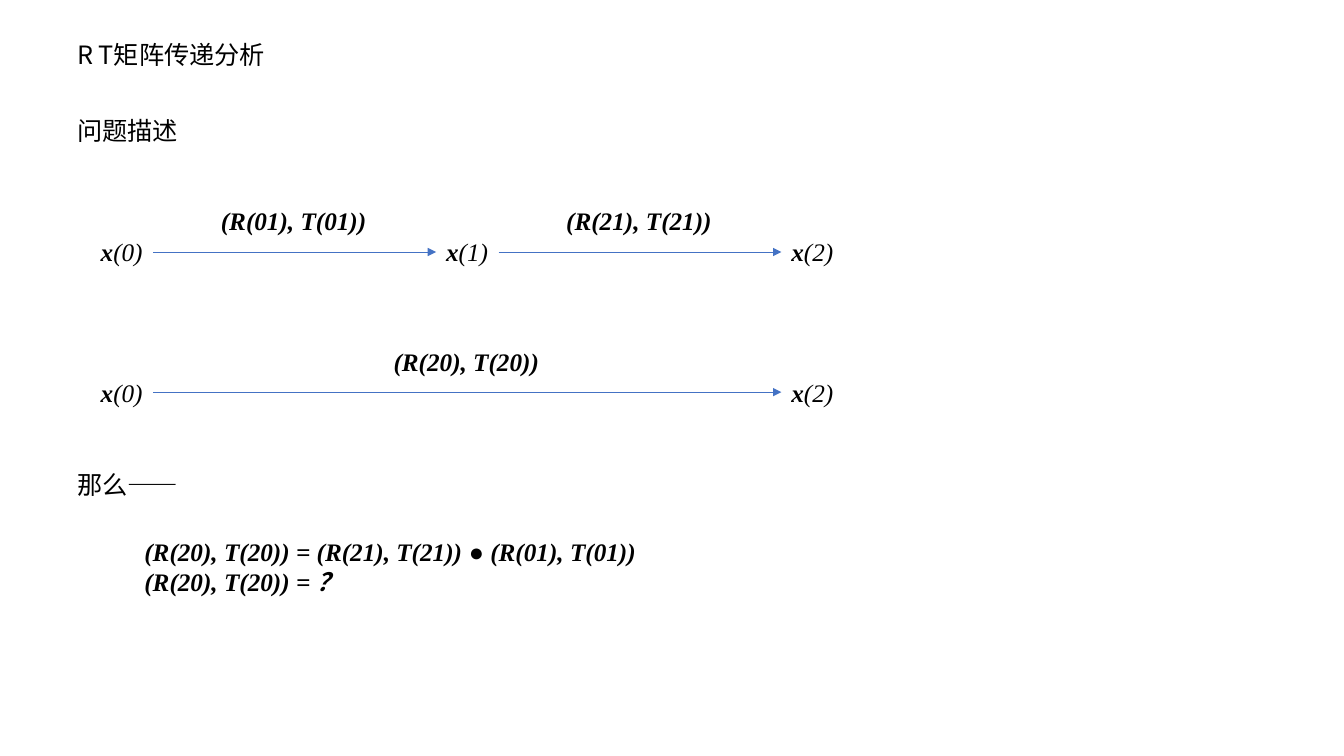
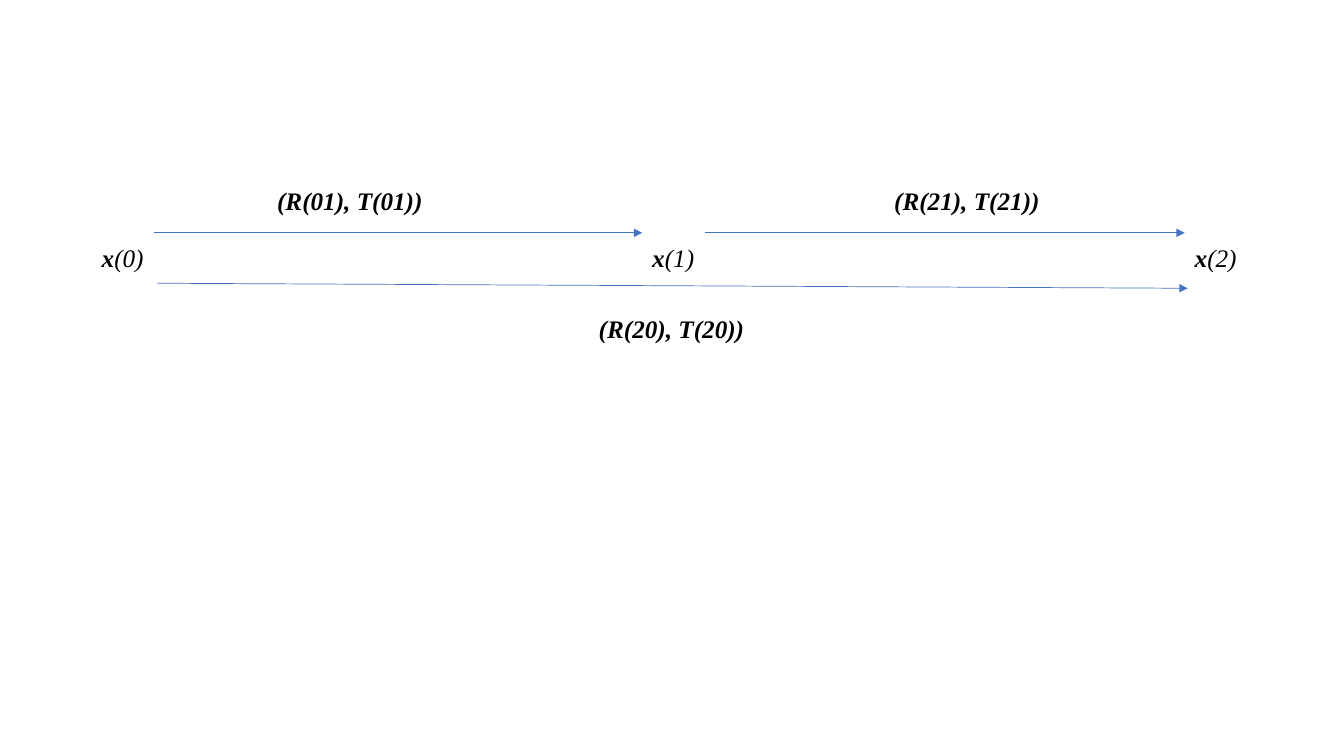
import pptx
import pptx.util
import pptx.dml.color
import pptx.enum.shapes
import pptx.enum.text
import pptx.oxml.ns
import lxml.etree

WIDTH, HEIGHT = 13.33, 7.5

THEME = {
    "text": "000000",
    "arrow": "4472C4",
    "size": 18,
    "arrow_width": 0.5,
    "chinese": "Noto Sans CJK SC",
    "math": "Times New Roman",
}
STYLES = {
    "heading": {"name": THEME["chinese"]},
    "vector": {"name": THEME["math"], "bold": True, "italic": True},
    "index": {"name": THEME["math"], "bold": False, "italic": True},
    "dot": {"name": THEME["math"], "bold": False, "italic": False},
}

NODE_WIDTH, LABEL_WIDTH, LINE_HEIGHT = 0.62, 1.66, 0.4
FIRST, SECOND, DIRECT = "(R(01), T(01))", "(R(21), T(21))", "(R(20), T(20))"

SLIDES = [
    {
        "headings": [
            ("R T矩阵传递分析", 0.34, 2.12),
            ("问题描述", 1.09, 1.21),
            ("那么——", 4.61, 1.21),
        ],
        "columns": [0.9, 4.325, 7.75],
        "rows": [(2.3, [0, 1, 2]), (3.69, [0, 2])],
        "arrows": [
            {"row": 0, "ends": (0, 1), "label": FIRST, "label_top": 1.99},
            {"row": 0, "ends": (1, 2), "label": SECOND, "label_top": 1.99},
            {"row": 1, "ends": (0, 2), "label": DIRECT, "label_top": 3.39},
        ],
        "equations": [
            [(f"{DIRECT} = {SECOND} ", "vector"), ("●", "dot"), (f" {FIRST}", "vector")],
            [(f"{DIRECT} = ？", "vector")],
        ],
    },
    {
        "columns": [0.91, 6.37, 11.75],
        "rows": [(2.36, [0, 1, 2])],
        "arrows": [
            {"row": 0, "ends": (0, 1), "label": FIRST, "label_top": 1.79,
             "label_shift": -0.47, "heights": (2.31, 2.31)},
            {"row": 0, "ends": (1, 2), "label": SECOND, "label_top": 1.79,
             "label_shift": 0.23, "heights": (2.31, 2.31)},
            {"row": 0, "ends": (0, 2), "label": DIRECT, "label_top": 3.06,
             "shift": 0.03, "heights": (2.81, 2.86)},
        ],
    },
]


def inches(*values):
    return [pptx.util.Inches(value) for value in values]


def color(name):
    return pptx.dml.color.RGBColor.from_string(THEME[name])


def add_text(slide, place, paragraphs, wrap=False):
    shape = slide.shapes.add_textbox(*inches(*place))
    frame = shape.text_frame
    frame.word_wrap = wrap
    frame.auto_size = pptx.enum.text.MSO_AUTO_SIZE.SHAPE_TO_FIT_TEXT
    for number, runs in enumerate(paragraphs):
        paragraph = frame.add_paragraph() if number else frame.paragraphs[0]
        for text, style in runs:
            run = paragraph.add_run()
            run.text = text
            values = {"size": pptx.util.Pt(THEME["size"]), **STYLES[style]}
            for attribute, value in values.items():
                setattr(run.font, attribute, value)
            run.font.color.rgb = color("text")
            if style == "heading":
                properties = run._r.get_or_add_rPr()
                east_asian = lxml.etree.SubElement(properties, pptx.oxml.ns.qn("a:ea"))
                east_asian.set("typeface", THEME["chinese"])
    return shape


def add_arrow(slide, start, end):
    connector = slide.shapes.add_connector(
        pptx.enum.shapes.MSO_CONNECTOR.STRAIGHT, *inches(*start, *end))
    connector.line.color.rgb = color("arrow")
    connector.line.width = pptx.util.Pt(THEME["arrow_width"])
    head = lxml.etree.SubElement(
        connector.line._get_or_add_ln(), pptx.oxml.ns.qn("a:tailEnd"))
    head.set("type", "triangle")
    lxml.etree.SubElement(connector._element.spPr, pptx.oxml.ns.qn("a:effectLst"))
    return connector


def add_diagram(slide, content):
    columns, rows = content["columns"], content["rows"]
    nodes = {}
    for row, (top, members) in enumerate(rows):
        for column in members:
            nodes[row, column] = add_text(
                slide, (columns[column], top, NODE_WIDTH, LINE_HEIGHT),
                [[("x", "vector"), (f"({column})", "index")]])
    for arrow in content["arrows"]:
        row, (first, last) = arrow["row"], arrow["ends"]
        left, right = columns[first] + NODE_WIDTH, columns[last]
        middle = rows[row][0] + LINE_HEIGHT / 2
        heights = arrow.get("heights", (middle, middle))
        shift = arrow.get("shift", 0)
        connector = add_arrow(
            slide, (left + shift, heights[0]), (right + shift, heights[1]))
        if "heights" not in arrow:
            connector.begin_connect(nodes[row, first], 3)
            connector.end_connect(nodes[row, last], 1)
        center = (left + right) / 2 + arrow.get("label_shift", shift)
        add_text(
            slide, (center - LABEL_WIDTH / 2, arrow["label_top"], LABEL_WIDTH, LINE_HEIGHT),
            [[(arrow["label"], "vector")]])


def main():
    presentation = pptx.Presentation()
    presentation.slide_width, presentation.slide_height = inches(WIDTH, HEIGHT)
    for content in SLIDES:
        slide = presentation.slides.add_slide(presentation.slide_layouts[6])
        for text, top, width in content.get("headings", []):
            add_text(slide, (WIDTH * 0.05, top, width, LINE_HEIGHT), [[(text, "heading")]])
        add_diagram(slide, content)
        if "equations" in content:
            add_text(slide, (WIDTH * 0.1, 5.27, WIDTH * 0.4, 0.71),
                     content["equations"], wrap=True)
    presentation.save("out.pptx")


if __name__ == "__main__":
    main()
